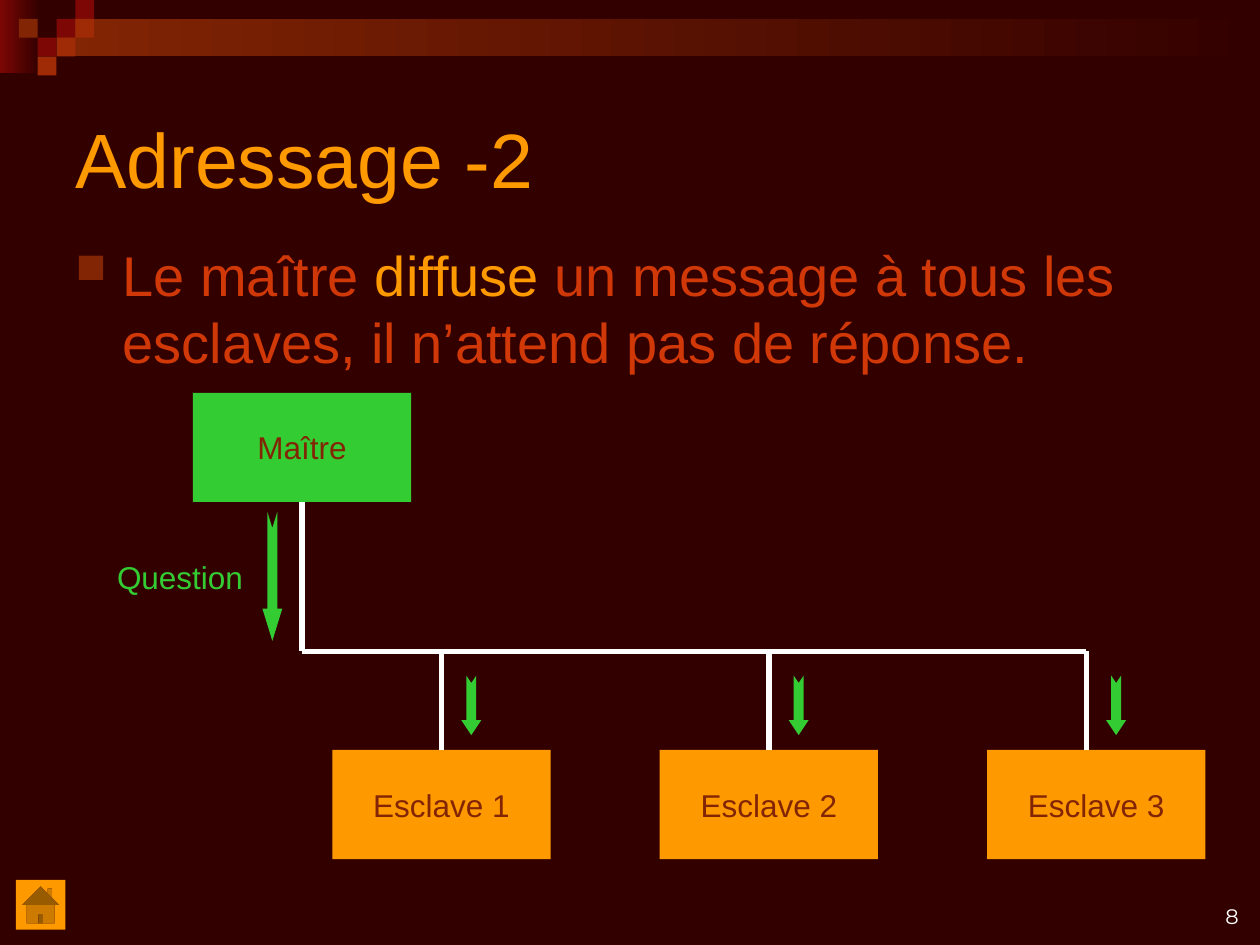
from pptx import Presentation
from pptx.util import Cm, Pt
from pptx.dml.color import RGBColor
from pptx.enum.shapes import MSO_SHAPE, MSO_CONNECTOR
from pptx.enum.text import PP_ALIGN, MSO_ANCHOR
from pptx.oxml.ns import qn
from lxml.etree import SubElement
from dataclasses import dataclass


@dataclass(frozen=True)
class Theme:
    back: str = "330000"
    dark: str = "7C0704"
    brown: str = "822504"
    rust: str = "9E2A06"
    red: str = "D03808"
    gold: str = "FF9900"
    green: str = "33CC33"
    white: str = "FFFFFF"
    font: str = "Arial"
    page: str = "Montserrat"
    head: int = 44
    body: int = 32
    label: int = 18
    small: int = 12


look = Theme()

title = "Adressage -2"
point = [
    ("Le maître ", look.red),
    ("diffuse", look.gold),
    (" un message à tous les esclaves, il n’attend pas de réponse.", look.red),
]
master = "Maître"
query = "Question"
slaves = ["Esclave 1", "Esclave 2", "Esclave 3"]
number = "8"
bands = [
    ((0, 0, 0.79, 1.47), look.dark),
    ((1.14, 0.38, 24.26, 0.76), look.brown),
]
tiles = [
    (3, 1, look.dark), (4, 0, look.dark), (4, 1, look.rust), (2, 2, look.dark),
    (1, 1, look.brown), (3, 2, look.rust), (2, 3, look.rust),
]

tile = 0.38
wide, tall = 4.4, 2.2
left, top = 3.89, 7.92
first, step, row = 6.7, 6.6, 15.12
trunk, bus = left + wide / 2, 13.13
drops = [8.9, 15.5, 21.9]
thick, shift = 0.4, 0.6

deck = Presentation()
deck.slide_width, deck.slide_height = Cm(25.4), Cm(19.05)
slide = deck.slides.add_slide(deck.slide_layouts[6])
slide.background.fill.solid()
slide.background.fill.fore_color.rgb = RGBColor.from_string(look.back)


def shape(kind, area, color):
    item = slide.shapes.add_shape(kind, *map(Cm, area))
    item.shadow.inherit = False
    item.fill.solid()
    item.fill.fore_color.rgb = RGBColor.from_string(color)
    item.line.fill.background()
    return item


def fade(area, color):
    item = shape(MSO_SHAPE.RECTANGLE, area, color)
    item.fill.gradient()
    item.fill.gradient_angle = 180
    for stop, tone in zip(item.fill.gradient_stops, (look.back, color)):
        stop.color.rgb = RGBColor.from_string(tone)


def write(text, *, area=None, item=None, size=look.label, color=look.brown,
          font=look.font, align=PP_ALIGN.LEFT, anchor=MSO_ANCHOR.TOP,
          wrap=True, mark=None):
    item = item or slide.shapes.add_textbox(*map(Cm, area))
    frame = item.text_frame
    frame.word_wrap = wrap
    frame.vertical_anchor = anchor
    para = frame.paragraphs[0]
    para.alignment = align
    if mark:
        props = para._p.get_or_add_pPr()
        props.set("marL", str(Cm(0.95)))
        props.set("indent", str(-Cm(0.95)))
        SubElement(SubElement(props, qn("a:buClr")), qn("a:srgbClr"), val=look.brown)
        SubElement(props, qn("a:buSzPct"), val="75000")
        SubElement(props, qn("a:buChar"), char=mark)
    for words, tone in [(text, color)] if isinstance(text, str) else text:
        run = para.add_run()
        run.text = words
        run.font.size = Pt(size)
        run.font.name = font
        run.font.color.rgb = RGBColor.from_string(tone)


def block(text, x, y, color):
    item = shape(MSO_SHAPE.RECTANGLE, (x, y, wide, tall), color)
    write(text, item=item, align=PP_ALIGN.CENTER, anchor=MSO_ANCHOR.MIDDLE, wrap=False)


def wire(*ends):
    item = slide.shapes.add_connector(MSO_CONNECTOR.STRAIGHT, *map(Cm, ends))
    item.line.width = Pt(3)
    item.line.color.rgb = RGBColor.from_string(look.white)
    SubElement(item._element.spPr, qn("a:effectLst"))


def arrow(x, y, span, tip):
    area = (x - span / 2, y + span / 2 - thick / 2, span, thick)
    item = shape(MSO_SHAPE.NOTCHED_RIGHT_ARROW, area, look.green)
    item.adjustments[1] = tip / thick
    item.rotation = 90


for area, color in bands:
    fade(area, color)
for col, line, color in tiles:
    shape(MSO_SHAPE.RECTANGLE, (col * tile, line * tile, tile, tile), color)

write(title, area=(1.27, 1.27, 22.86, 3.81), size=look.head, color=look.gold,
      anchor=MSO_ANCHOR.MIDDLE)
write(point, area=(1.27, 4.72, 22.86, 3.43), size=look.body, mark="■")

block(master, left, top, look.green)
for i, name in enumerate(slaves):
    block(name, first + i * step, row, look.gold)
write(query, area=(2.11, 11.13, 3.05, 1.02), color=look.green, wrap=False)

wire(trunk, top + tall, trunk, bus)
wire(trunk, bus, drops[-1], bus)
arrow(trunk - shift, 10.32, 2.6, 0.65)
for x in drops:
    wire(x, bus, x, row)
    arrow(x + shift, 13.62, 1.2, 0.3)

shape(MSO_SHAPE.ACTION_BUTTON_HOME, (0.32, 17.74, 1, 1), look.gold)
write(number, area=(19.3, 17.58, 5.92, 1.27), size=look.small, color=look.white,
      font=look.page, align=PP_ALIGN.RIGHT, anchor=MSO_ANCHOR.BOTTOM)

deck.save("out.pptx")
